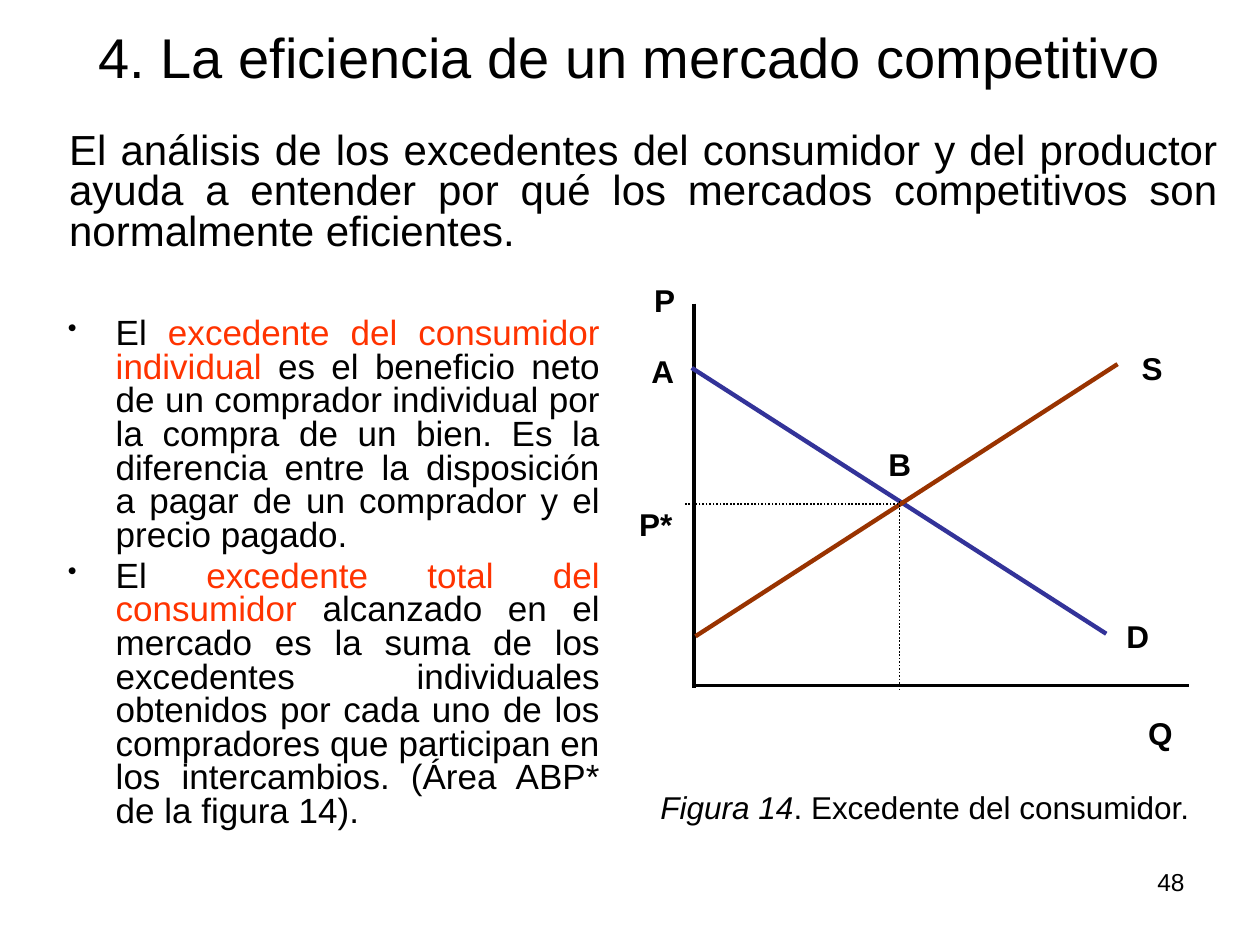
from dataclasses import dataclass

from lxml import etree
from pptx import Presentation
from pptx.dml.color import RGBColor
from pptx.enum.dml import MSO_LINE
from pptx.enum.shapes import MSO_CONNECTOR
from pptx.enum.text import MSO_ANCHOR, MSO_AUTO_SIZE, PP_ALIGN
from pptx.oxml.ns import qn
from pptx.util import Inches, Pt

STRAIGHT = MSO_CONNECTOR.STRAIGHT
DOTTED = MSO_LINE.ROUND_DOT
TOP, MIDDLE, BOTTOM = MSO_ANCHOR.TOP, MSO_ANCHOR.MIDDLE, MSO_ANCHOR.BOTTOM
CENTER, RIGHT, JUSTIFY = PP_ALIGN.CENTER, PP_ALIGN.RIGHT, PP_ALIGN.JUSTIFY
NO_FIT = MSO_AUTO_SIZE.NONE

BLACK = RGBColor(0x00, 0x00, 0x00)
ORANGE = RGBColor(0xFF, 0x33, 0x00)
DEMAND_BLUE = RGBColor(0x33, 0x33, 0x99)
SUPPLY_BROWN = RGBColor(0x99, 0x33, 0x00)

FONT = "Arial"
PAGE_WIDTH, PAGE_HEIGHT = Inches(10), Inches(7.5)
COLUMNS, ROWS = 100, 75
LABEL_ROWS = 4
AXIS_X, AXIS_Y = 55.1, 54.4
PRICE_Y, QUANTITY_X = 40, 71.4


@dataclass
class Area:
    left: float
    top: float
    width: float
    height: float


@dataclass
class Segment:
    start: tuple[float, float]
    end: tuple[float, float]
    color: RGBColor
    weight: float
    dotted: bool = False


@dataclass
class Label:
    text: str
    left: float
    top: float
    width: float


@dataclass
class Span:
    text: str
    color: RGBColor = BLACK
    italic: bool = False


SEGMENTS = [
    Segment((AXIS_X, 24.1), (AXIS_X, 54.6), BLACK, 2),
    Segment((55.2, AXIS_Y), (94.4, AXIS_Y), BLACK, 2),
    Segment((54.9, 29.2), (87.8, 50.3), DEMAND_BLUE, 2.5),
    Segment((55.2, 50.5), (88.7, 28.9), SUPPLY_BROWN, 2.5),
    Segment((QUANTITY_X, 39.8), (QUANTITY_X, 54.8), BLACK, 1, True),
    Segment((71.3, PRICE_Y), (54.4, PRICE_Y), BLACK, 1, True),
]
LABELS = [
    Label("P", 50.9, 21.8, 3.7),
    Label("A", 50.7, 27.4, 3.8),
    Label(" P*", 49.4, 38.1, 5.3),
    Label("B", 69.5, 34.8, 3.8),
    Label("S", 89.6, 27.2, 3.7),
    Label("D", 88.4, 48.5, 3.8),
    Label("Q", 90.1, 56.2, 4),
]
INTRO = [Span("El análisis de los excedentes del consumidor y del productor ayuda a "
              "entender por qué los mercados competitivos son normalmente eficientes.")]
BULLETS = [
    [
        Span("El"),
        Span(" excedente del consumidor individual", ORANGE),
        Span(" es el beneficio neto de un comprador individual por la compra de un "
             "bien. Es la diferencia entre la disposición a pagar de un comprador "
             "y el precio pagado."),
    ],
    [
        Span("El "),
        Span("excedente total del consumidor", ORANGE),
        Span(" alcanzado en el mercado es la suma de los excedentes individuales "
             "obtenidos por cada uno de los compradores que participan en los "
             "intercambios. (Área ABP* de la figura 14)."),
    ],
]
CAPTION = [Span("Figura 14", italic=True), Span(". Excedente del consumidor.")]


def column(count: float) -> int:
    return round(PAGE_WIDTH * count / COLUMNS)


def row(count: float) -> int:
    return round(PAGE_HEIGHT * count / ROWS)


def place(box, area: Area) -> None:
    box.left, box.top = column(area.left), row(area.top)
    box.width, box.height = column(area.width), row(area.height)


def add_box(page, area: Area, anchor=TOP, wrap: bool = True):
    box = page.shapes.add_textbox(0, 0, 0, 0)
    place(box, area)
    box.text_frame.word_wrap = wrap
    box.text_frame.vertical_anchor = anchor
    return box.text_frame


def write(para, spans: list[Span], size: float, align, spacing: float = 1,
          bold: bool = False) -> None:
    para.alignment = align
    para.line_spacing = spacing
    para.font.name, para.font.size, para.font.bold = FONT, Pt(size), bold
    para.font.color.rgb = BLACK
    for span in spans:
        run = para.add_run()
        run.text = span.text
        if span.color != BLACK:
            run.font.color.rgb = span.color
        if span.italic:
            run.font.italic = True


def add_bullet(para) -> None:
    properties = para._p.get_or_add_pPr()
    properties.set("marL", str(Inches(0.38)))
    properties.set("indent", str(-Inches(0.38)))
    etree.SubElement(properties, qn("a:buSzPct")).set("val", "75000")
    etree.SubElement(properties, qn("a:buChar")).set("char", "•")


def draw_segment(page, segment: Segment) -> None:
    (x1, y1), (x2, y2) = segment.start, segment.end
    line = page.shapes.add_connector(STRAIGHT, column(x1), row(y1), column(x2), row(y2))
    line.line.color.rgb = segment.color
    line.line.width = Pt(segment.weight)
    if segment.dotted:
        line.line.dash_style = DOTTED
    etree.SubElement(line._element.spPr, qn("a:effectLst"))


def draw_label(page, label: Label) -> None:
    area = Area(label.left, label.top, label.width, LABEL_ROWS)
    frame = add_box(page, area, MIDDLE, wrap=False)
    write(frame.paragraphs[0], [Span(label.text)], 18, CENTER, bold=True)


def main() -> None:
    deck = Presentation()
    deck.slide_width, deck.slide_height = PAGE_WIDTH, PAGE_HEIGHT
    page = deck.slides.add_slide(deck.slide_layouts[5])

    title = page.shapes.title
    place(title, Area(5, 3, 90, 4.6))
    title.text_frame.auto_size = NO_FIT
    title.text_frame.vertical_anchor = BOTTOM
    write(title.text_frame.paragraphs[0],
          [Span("4. La eficiencia de un mercado competitivo")], 32, CENTER)

    intro = add_box(page, Area(4.5, 10.1, 93.1, 10.7))
    write(intro.paragraphs[0], INTRO, 24, JUSTIFY, 0.8)

    definitions = add_box(page, Area(4.4, 20.9, 44.2, 49.5))
    definitions.margin_top = row(4.4)
    for index, spans in enumerate(BULLETS):
        para = definitions.add_paragraph() if index else definitions.paragraphs[0]
        if index:
            para.space_before = Pt(4)
        add_bullet(para)
        write(para, spans, 20, JUSTIFY, 0.8)

    caption = add_box(page, Area(51.3, 18.8, 44.2, 49.5), BOTTOM)
    caption.margin_bottom = row(2.8)
    write(caption.paragraphs[0], CAPTION, 18, CENTER, 0.8)

    for segment in SEGMENTS:
        draw_segment(page, segment)
    for label in LABELS:
        draw_label(page, label)

    number = add_box(page, Area(71.7, 68.3, 23.3, 5.2))
    write(number.paragraphs[0], [Span("48")], 14, RIGHT)

    deck.save("out.pptx")


if __name__ == "__main__":
    main()
